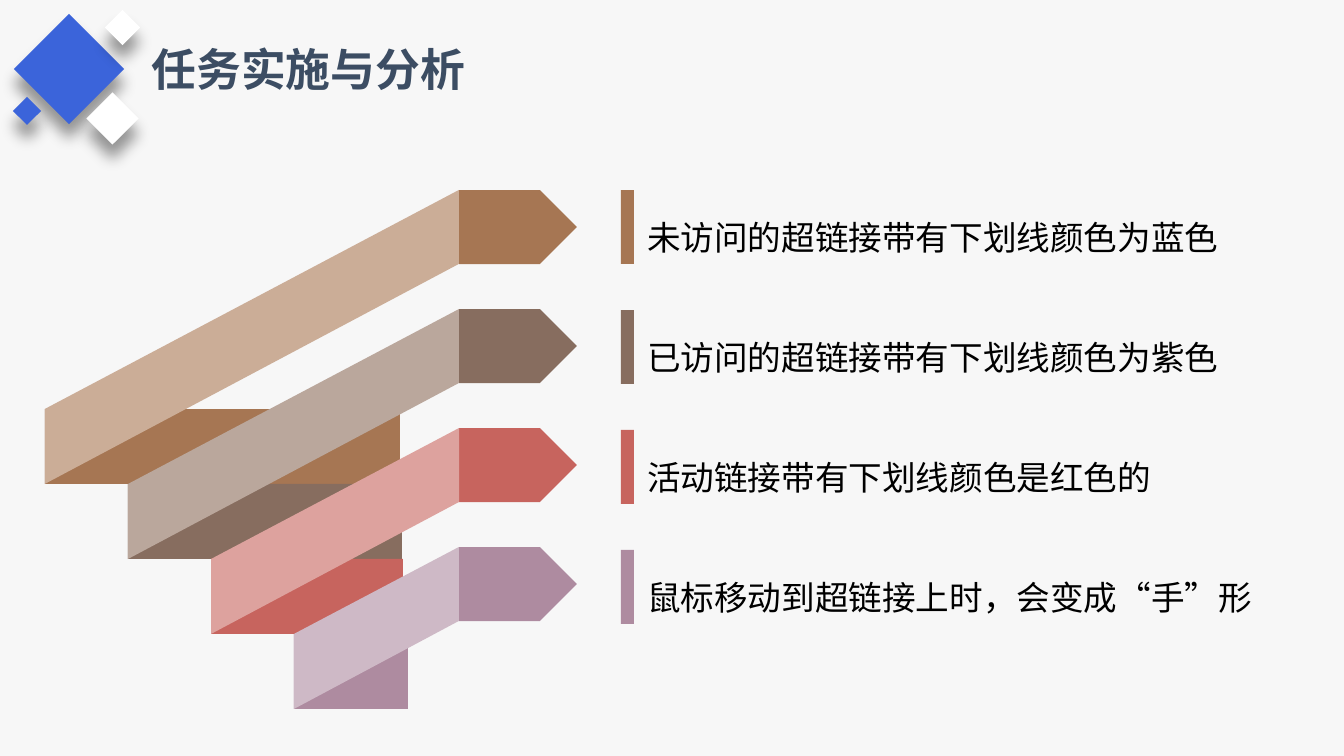
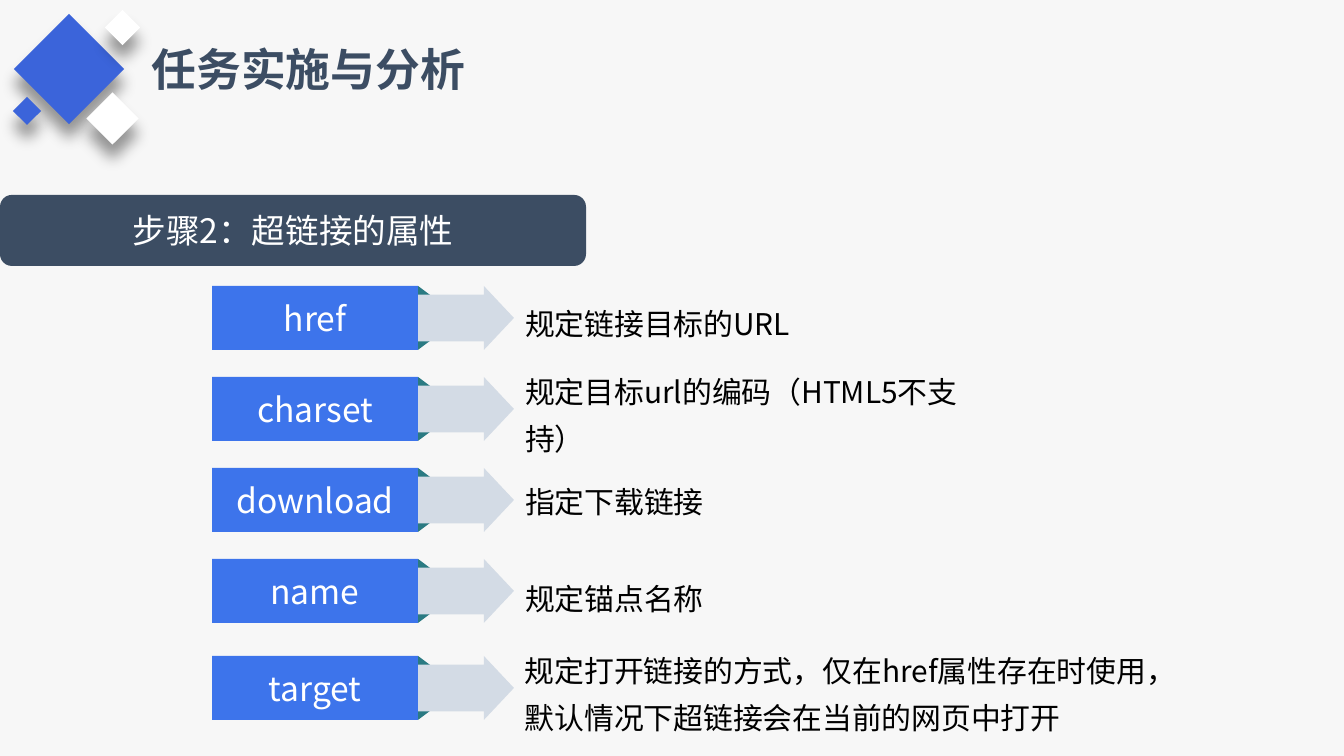
from pptx import Presentation
from pptx.dml.color import RGBColor
from pptx.enum.shapes import MSO_SHAPE as SHAPE
from pptx.enum.text import MSO_ANCHOR as ANCHOR, MSO_AUTO_SIZE as AUTO, PP_ALIGN as ALIGN
from pptx.oxml import parse_xml
from pptx.oxml.ns import nsdecls, qn
from pptx.util import Pt

PX = 914400 / 134.4
FONT = "Noto Sans CJK SC"
PAPER, NAVY, WHITE, BLACK = "F7F7F7", "3C4D63", "FFFFFF", "000000"
DIAMOND, TAG, FOLD, ARROW = "3B64DA", "3D74EB", "2A7A82", "D3DBE5"
TITLE = "任务实施与分析"

DIAMONDS = [(30, 30, 78, DIAMOND), (94, 100, 37, WHITE),
            (110, 15, 25, WHITE), (17, 101, 20, DIAMOND)]

RIBBONS = [
    ("A67653", "CBAD97", 355, 610, "未访问的超链接带有下划线颜色为蓝色"),
    ("876D5F", "BAA79C", 274, 610, "已访问的超链接带有下划线颜色为紫色"),
    ("C7645E", "DDA29E", 192, 610, "活动链接带有下划线颜色是红色的"),
    ("AE8BA0", "CEB9C6", 114, 656, "鼠标移动到超链接上时，会变成“手”形"),
]

ATTRIBUTES = [
    (286, "href", "规定链接目标的URL", (284, 460, 69)),
    (377, "charset", "规定目标url的编码（HTML5不支持）", (378, 473, 63)),
    (468, "download", "指定下载链接", (465, 473, 63)),
    (559, "name", "规定锚点名称", (562, 473, 63)),
    (656, "target", "规定打开链接的方式，仅在href属性存在时使用，默认情况下超链接会在当前的网页中打开",
     (657, 665, 63)),
]


def px(*lengths):
    """Turn pixel lengths into EMU."""
    return [round(n * PX) for n in lengths]


def color(value):
    """Turn a hex string into a colour."""
    return RGBColor.from_string(value)


def paint(sp, fill):
    """Give a shape a plain fill without line or shadow."""
    sp.fill.solid()
    sp.fill.fore_color.rgb = color(fill)
    sp.line.fill.background()
    sp.shadow.inherit = False
    return sp


def add_box(slide, kind, box, fill):
    """Add a preset shape in a pixel box."""
    return paint(slide.shapes.add_shape(kind, *px(*box)), fill)


def add_polygon(slide, points, fill):
    """Add a closed outline through pixel points."""
    builder = slide.shapes.build_freeform(*points[0], scale=PX)
    builder.add_line_segments(points[1:], close=True)
    return paint(builder.convert_to_shape(), fill)


def write(sp, text, size, fill, align=ALIGN.LEFT, anchor=ANCHOR.MIDDLE, bold=False, inset=None):
    """Set and format the text of a shape and return its paragraph."""
    tf = sp.text_frame
    tf.text = text
    tf.word_wrap = True
    tf.vertical_anchor = anchor
    if inset is not None:
        tf.margin_left = tf.margin_top = tf.margin_right = tf.margin_bottom = inset
    p = tf.paragraphs[0]
    p.alignment = align
    font = p.runs[0].font
    font.size, font.bold, font.name = Pt(size), bold, FONT
    font.color.rgb = color(fill)
    latin = p.runs[0]._r.rPr.find(qn("a:latin"))
    latin.addnext(parse_xml(f'<a:ea {nsdecls("a")} typeface="{FONT}"/>'))
    return p


def drop_shadow(sp):
    """Add a soft shadow below a shape."""
    effects = sp._element.spPr.find(qn("a:effectLst"))
    effects.append(parse_xml(
        f'<a:outerShdw {nsdecls("a")} blurRad="{Pt(8)}" dist="{Pt(8)}" dir="5400000" '
        'algn="t" rotWithShape="0"><a:srgbClr val="000000"><a:alpha val="40000"/>'
        '</a:srgbClr></a:outerShdw>'))


def add_titled_slide(prs):
    """Add a slide with the title and the diamond cluster."""
    slide = prs.slides.add_slide(prs.slide_layouts[5])
    title = slide.shapes.title
    title.left, title.top, title.width, title.height = px(138, 35, 341, 67)
    write(title, TITLE, 24, NAVY, anchor=ANCHOR.TOP, bold=True)
    title.text_frame.word_wrap = False
    title.text_frame.auto_size = AUTO.SHAPE_TO_FIT_TEXT
    for x, y, side, fill in DIAMONDS:
        sp = add_box(slide, SHAPE.RECTANGLE, (x, y, side, side), fill)
        sp.rotation = 45
        drop_shadow(sp)
    return slide


def add_ribbon(slide, x, y, tip_y, width, dark, light):
    """Add a block at x, y with a fold rising to an arrow tip."""
    edge, h, block_h = 459, 74, 75
    mid, low = tip_y + h / 2, tip_y + h
    add_box(slide, SHAPE.RECTANGLE, (x, y, width, block_h), dark)
    add_polygon(slide, [(edge, tip_y), (edge + 81, tip_y), (edge + 118, mid),
                        (edge + 81, low), (edge, low)], dark)
    add_polygon(slide, [(edge, tip_y), (edge, low), (x, y + block_h), (x, y)], light)


def add_ribbon_label(slide, x, y, width, text, fill):
    """Add a colour bar at x, y and its text on the right."""
    add_box(slide, SHAPE.RECTANGLE, (x, y, 13, 74), fill)
    sp = slide.shapes.add_textbox(*px(x + 13, y - 2, width, 77))
    write(sp, text, 18, BLACK).line_spacing = 1.5


def add_attribute(slide, x, y, name, text, text_box):
    """Add an attribute tag at x, y with its arrow and description."""
    w, h, fold_w, fold_h = 206, 64, 12, 9
    for fold_y, flipped in ((y + h - fold_h, True), (y, False)):
        sp = add_box(slide, SHAPE.RIGHT_TRIANGLE, (x + w, fold_y, fold_w, fold_h), FOLD)
        if flipped:
            sp._element.spPr.find(qn("a:xfrm")).set("flipV", "1")
    arrow = add_box(slide, SHAPE.RIGHT_ARROW, (x + 115, y, 187, h), ARROW)
    arrow.adjustments[0], arrow.adjustments[1] = 0.73, 0.47
    tag = add_box(slide, SHAPE.RECTANGLE, (x, y, w, h), TAG)
    write(tag, name, 18, WHITE, ALIGN.CENTER, inset=0)
    top, width, height = text_box
    sp = slide.shapes.add_textbox(*px(x + 313, top, width, height))
    p = write(sp, text, 16, BLACK, inset=0)
    p.line_spacing, p.space_before, p.space_after = 1.3, Pt(6), Pt(12)


def build_link_states(prs):
    """Build the slide on the looks of a link."""
    slide = add_titled_slide(prs)
    for i, (dark, light, block_w, text_w, text) in enumerate(RIBBONS):
        add_ribbon(slide, 45 + 83 * i, 409 + 75 * i, 190 + 119 * i, block_w, dark, light)
        add_ribbon_label(slide, 621, 190 + 120 * i, text_w, text, dark)


def build_link_attributes(prs):
    """Build the slide on the attributes of a link."""
    slide = add_titled_slide(prs)
    banner = add_box(slide, SHAPE.ROUNDED_RECTANGLE, (0, 195, 586, 71), NAVY)
    write(banner, "步骤2：超链接的属性", 18, WHITE, ALIGN.CENTER)
    for y, name, text, text_box in ATTRIBUTES:
        add_attribute(slide, 212, y, name, text, text_box)


def main():
    """Build and save the presentation."""
    prs = Presentation()
    prs.slide_width, prs.slide_height = px(1344, 756)
    bg = prs.slide_master.background.fill
    bg.solid()
    bg.fore_color.rgb = color(PAPER)
    build_link_states(prs)
    build_link_attributes(prs)
    prs.save("out.pptx")


if __name__ == "__main__":
    main()
